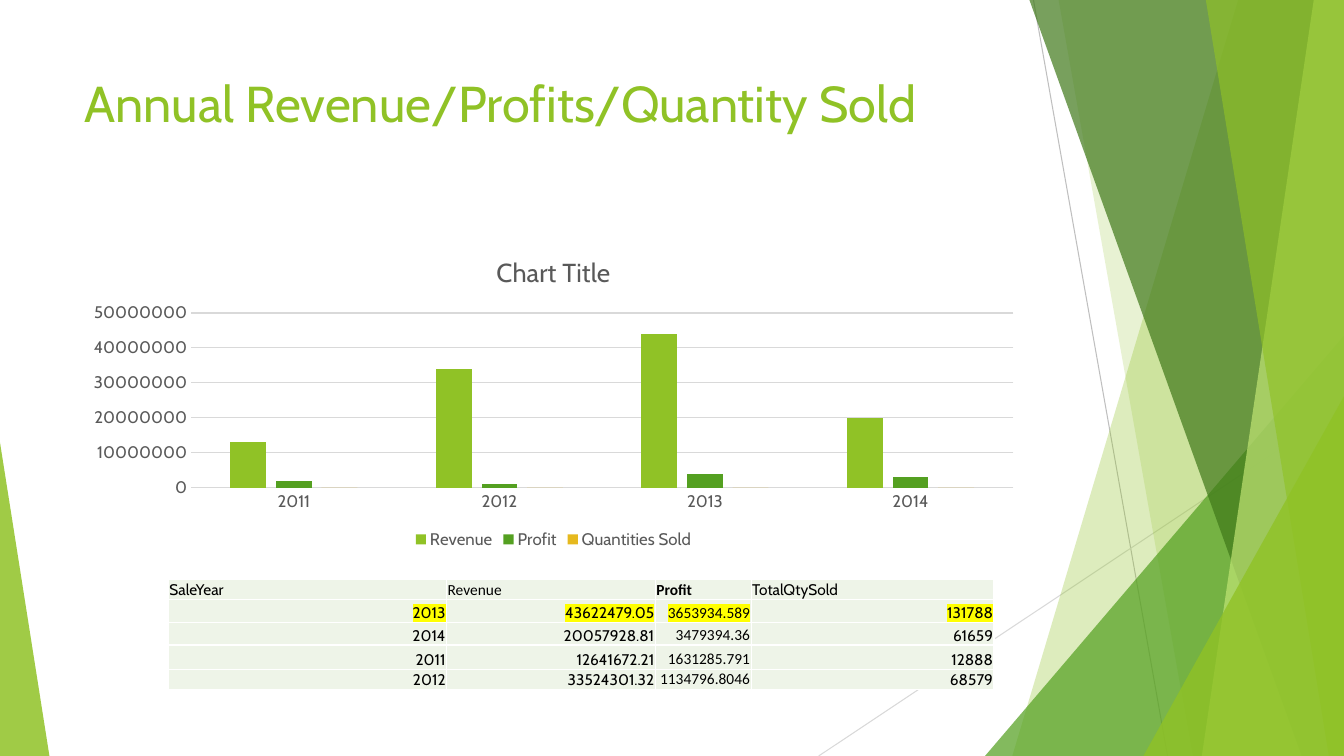
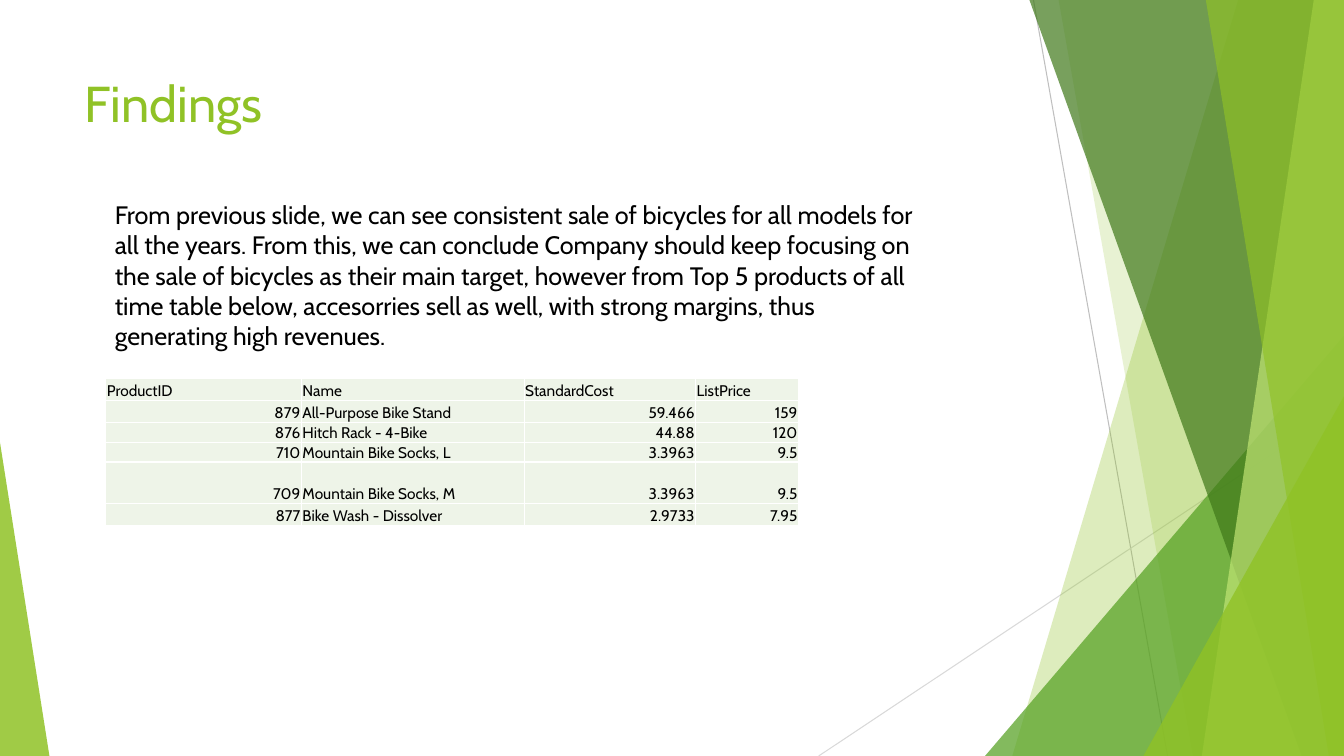
from lxml import etree
from pptx import Presentation
from pptx.chart.data import CategoryChartData
from pptx.dml.color import RGBColor
from pptx.enum.chart import XL_CHART_TYPE, XL_LEGEND_POSITION, XL_TICK_MARK
from pptx.enum.shapes import MSO_CONNECTOR, MSO_SHAPE
from pptx.enum.text import MSO_ANCHOR, MSO_AUTO_SIZE, PP_ALIGN
from pptx.oxml.ns import qn
from pptx.util import Inches, Pt

COLUMNS = XL_CHART_TYPE.COLUMN_CLUSTERED
LEGEND_BOTTOM = XL_LEGEND_POSITION.BOTTOM
NO_TICK = XL_TICK_MARK.NONE
STRAIGHT = MSO_CONNECTOR.STRAIGHT
TRIANGLE = MSO_SHAPE.ISOSCELES_TRIANGLE
BOTTOM = MSO_ANCHOR.BOTTOM
GROW = MSO_AUTO_SIZE.SHAPE_TO_FIT_TEXT
LEFT, RIGHT = PP_ALIGN.LEFT, PP_ALIGN.RIGHT

WIDTH, HEIGHT = 13.33, 7.5
FONT, SECOND_FONT = "Cabin", "Calibri"
LIME, GREEN, DARK_GREEN, PALE_LIME = "90C226", "54A021", "3F7819", "C0E474"
GOLD, YELLOW, CELL_FILL = "E6B91E", "FFFF00", "EEF4E8"
BLACK, WHITE, GREY, LIGHT_GREY, SILVER = "000000", "FFFFFF", "595959", "D9D9D9", "BFBFBF"

# Backdrop: lines as (start, end, colour)
LINES = [((10.25, 0), (11.58, HEIGHT), SILVER),
         ((WIDTH, 4.03), (8.12, HEIGHT), LIGHT_GREY)]
# Bands run to the right edge: (top left x, bottom left x, colour, opacity)
# Triangles: (left, top, width, apex, colour, opacity)
BACKDROP = [(12.28, 10.04, LIME, 30),
            (10.5, 11.83, LIME, 20),
            (9.77, 3.33, 3.56, 1, GREEN, 72),
            (10.21, 12.91, DARK_GREEN, 70),
            (13.03, 11.92, PALE_LIME, 70),
            (11.96, 13.18, LIME, 65),
            (11.34, 3.93, 1.99, 1, LIME, 80),
            (0, 4.39, 0.49, 0, LIME, 85)]

SALES = [["SaleYear", "Revenue", "Profit", "TotalQtySold"],
         ["2013", "43622479.05", "3653934.589", "131788"],
         ["2014", "20057928.81", "3479394.36", "61659"],
         ["2011", "12641672.21", "1631285.791", "12888"],
         ["2012", "33524301.32", "1134796.8046", "68579"]]
PRODUCTS = [["ProductID", "Name", "StandardCost", "ListPrice"],
            ["879", "All-Purpose Bike Stand", "59.466", "159"],
            ["876", "Hitch Rack - 4-Bike", "44.88", "120"],
            ["710", "Mountain Bike Socks, L", "3.3963", "9.5"],
            ["709", "Mountain Bike Socks, M", "3.3963", "9.5"],
            ["877", "Bike Wash - Dissolver", "2.9733", "7.95"]]
FINDINGS = (
    "From previous slide, we can see consistent sale of bicycles for all models for all "
    "the years. From this, we can conclude Company should keep focusing on the sale of "
    "bicycles as their main target, however from Top 5 products of all time table below, "
    "accesorries sell as well, with strong margins, thus generating high revenues.")


def rgb(color):
    return RGBColor.from_string(color)


def add_color(parent, color):
    return etree.SubElement(parent, qn("a:srgbClr"), val=color)


def set_font(font, size, color, name=FONT, bold=False):
    font.size, font.name, font.bold = Pt(size), name, bold
    font.color.rgb = rgb(color)


def to_millions(value):
    return round(float(value), -6)


class SlideBuilder:
    def __init__(self):
        self.deck = Presentation()
        self.deck.slide_width = Inches(WIDTH)
        self.deck.slide_height = Inches(HEIGHT)
        self.shapes = None

    def new_slide(self, title):
        page = self.deck.slides.add_slide(self.deck.slide_layouts[6])
        self.shapes = page.shapes
        for start, end, color in LINES:
            self.line(start, end, color)
        for part in BACKDROP:
            if len(part) == 4:
                self.band(*part)
            else:
                self.triangle(*part)
        self.text(title, 0.74, 0.67, 9.4, 1.44, 36, LIME)

    def line(self, start, end, color):
        line = self.shapes.add_connector(STRAIGHT, *map(Inches, start + end))
        line.line.color.rgb = rgb(color)
        line.line.width = Pt(0.75)
        etree.SubElement(line.element.spPr, qn("a:effectLst"))

    def paint(self, shape, color, opacity):
        shape.shadow.inherit = False
        shape.line.fill.background()
        shape.fill.solid()
        shape.fill.fore_color.rgb = rgb(color)
        value = shape.element.spPr.find(qn("a:solidFill"))[0]
        etree.SubElement(value, qn("a:alpha"), val=str(opacity * 1000))

    def band(self, top_x, bottom_x, color, opacity):
        outline = self.shapes.build_freeform(Inches(top_x), 0)
        corners = [(WIDTH, 0), (WIDTH, HEIGHT), (bottom_x, HEIGHT)]
        outline.add_line_segments([(Inches(x), Inches(y)) for x, y in corners])
        self.paint(outline.convert_to_shape(), color, opacity)

    def triangle(self, left, top, width, apex, color, opacity):
        shape = self.shapes.add_shape(
            TRIANGLE, *map(Inches, (left, top, width, HEIGHT - top)))
        shape.adjustments[0] = apex
        self.paint(shape, color, opacity)

    def text(self, words, left, top, width, height, size, color, auto_size=None):
        box = self.shapes.add_textbox(*map(Inches, (left, top, width, height)))
        frame = box.text_frame
        frame.word_wrap = True
        frame.auto_size = auto_size
        frame.text = words
        set_font(frame.paragraphs[0].runs[0].font, size, color)

    def table(self, rows, left, top, widths, heights,
              highlight_row=None, second_font=(), bold=()):
        frame = self.shapes.add_table(
            len(rows), len(widths),
            *map(Inches, (left, top, sum(widths), sum(heights))))
        table = frame.table
        table.first_row = table.horz_banding = False
        for column, width in zip(table.columns, widths):
            column.width = Inches(width)
        for r, (words, height) in enumerate(zip(rows, heights)):
            table.rows[r].height = Inches(height)
            for c, word in enumerate(words):
                name = SECOND_FONT if (r, c) in second_font else FONT
                span = self.cell(table.cell(r, c), word, r == 0, name, (r, c) in bold)
                if r == highlight_row:
                    self.highlight(span)

    def cell(self, cell, word, is_header, name, is_bold):
        cell.margin_left = cell.margin_right = cell.margin_top = Inches(0.01)
        cell.margin_bottom = 0
        cell.vertical_anchor = BOTTOM
        # Borders come before the fill
        for side in ("a:lnL", "a:lnR", "a:lnT", "a:lnB"):
            border = etree.SubElement(cell._tc.get_or_add_tcPr(), qn(side), w=str(Pt(1)))
            add_color(etree.SubElement(border, qn("a:solidFill")), WHITE)
        cell.fill.solid()
        cell.fill.fore_color.rgb = rgb(CELL_FILL)
        cell.text_frame.text = word
        para = cell.text_frame.paragraphs[0]
        is_number = word.replace(".", "").isdigit()
        para.alignment = RIGHT if is_number and not is_header else LEFT
        span = para.runs[0]
        set_font(span.font, 11, BLACK, name, is_bold)
        return span

    def highlight(self, span):
        mark = etree.Element(qn("a:highlight"))
        add_color(mark, YELLOW)
        span.font._rPr.find(qn("a:latin")).addprevious(mark)

    def column_chart(self, title, categories, series, left, top, width, height):
        data = CategoryChartData()
        data.categories = categories
        for name, values, _ in series:
            data.add_series(name, values)
        chart = self.shapes.add_chart(
            COLUMNS, *map(Inches, (left, top, width, height)), data).chart
        set_font(chart.font, 12, GREY)
        chart.has_title = True
        chart.chart_title.text_frame.text = title
        chart.chart_title.include_in_layout = False
        set_font(chart.chart_title.text_frame.paragraphs[0].runs[0].font, 18.6, GREY)
        chart.has_legend = True
        chart.legend.position = LEGEND_BOTTOM
        chart.legend.include_in_layout = False
        # Bars
        plot = chart.plots[0]
        plot.gap_width, plot.overlap, plot.vary_by_categories = 219, -27, False
        for bars, (_, _, color) in zip(plot.series, series):
            bars.format.fill.solid()
            bars.format.fill.fore_color.rgb = rgb(color)
        # Axes
        years, amounts = chart.category_axis, chart.value_axis
        for axis in (years, amounts):
            axis.major_tick_mark = axis.minor_tick_mark = NO_TICK
            set_font(axis.tick_labels.font, 12, GREY)
        amounts.minimum_scale, amounts.maximum_scale = 0, 50000000
        amounts.major_unit = 10000000
        amounts.format.line.fill.background()
        for line in (years.format.line, amounts.major_gridlines.format.line):
            line.color.rgb = rgb(LIGHT_GREY)
            line.width = Pt(0.75)


def main():
    builder = SlideBuilder()

    # Annual figures
    builder.new_slide("Annual Revenue/Profits/Quantity Sold")
    years, *amounts = zip(*sorted(SALES[1:]))
    names = ("Revenue", "Profit", "Quantities Sold")
    series = [(name, [to_millions(value) for value in values], color)
              for name, values, color in zip(names, amounts, (LIME, GREEN, GOLD))]
    builder.column_chart("Chart Title", years, series, 0.74, 2.36, 9.5, 3.13)
    profit_cells = [(row, 2) for row in range(len(SALES))]
    builder.table(SALES, 1.67, 5.75, [2.76, 2.07, 0.95, 2.41],
                  [0.16, 0.23, 0.22, 0.24, 0.11], highlight_row=1,
                  second_font=[(0, 1)] + profit_cells, bold=[(0, 2)])

    # Findings
    builder.new_slide("Findings")
    builder.table(PRODUCTS, 1.05, 3.75, [1.94, 2.21, 1.7, 1.02],
                  [0.22, 0.22, 0.16, 0.1, 0.41, 0.22])
    builder.text(FINDINGS, 1.04, 1.93, 8.16, 1.62, 18, BLACK, GROW)

    builder.deck.save("out.pptx")


if __name__ == "__main__":
    main()
